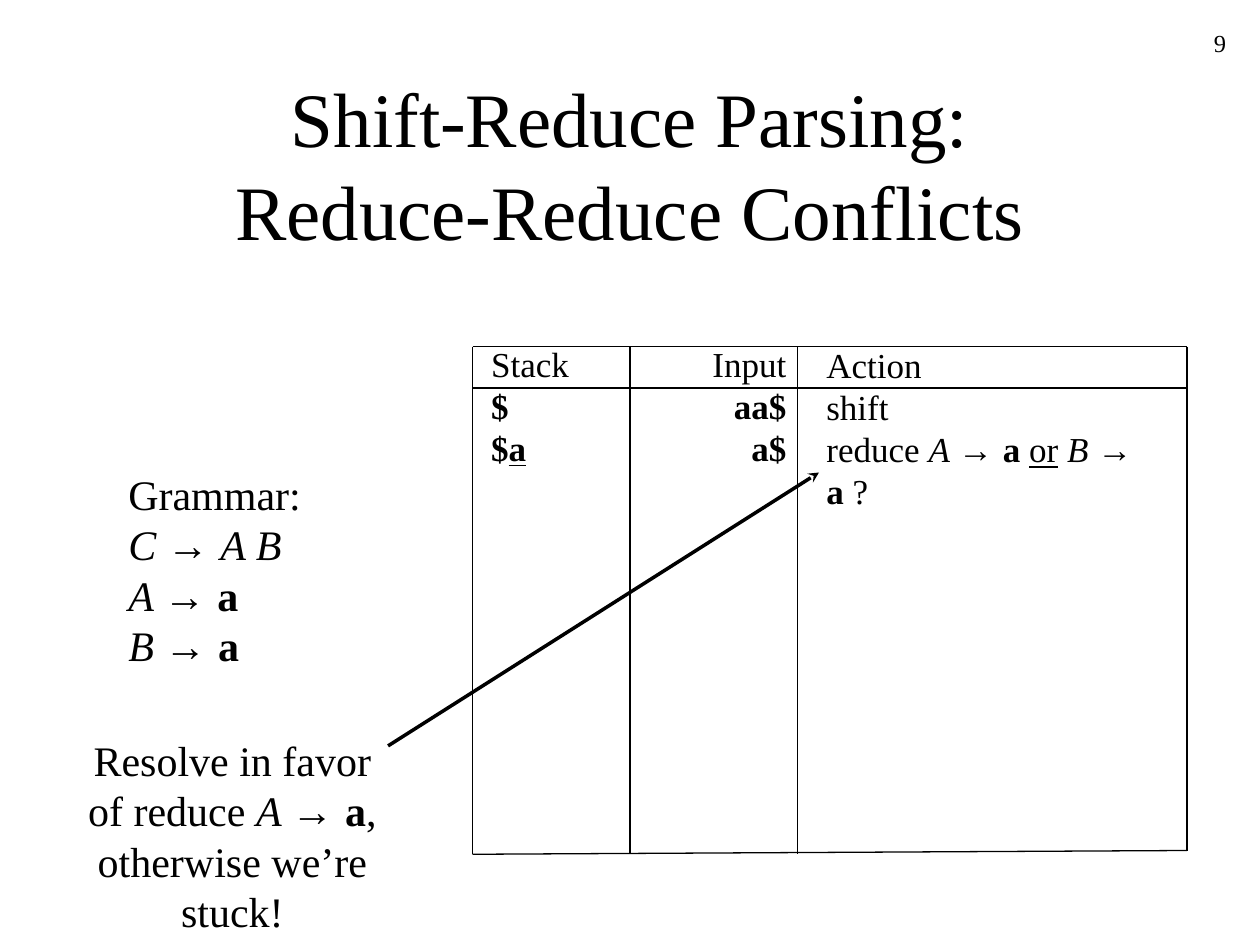
from dataclasses import dataclass

from lxml.etree import SubElement
from pptx import Presentation
from pptx.dml.color import RGBColor
from pptx.enum.shapes import MSO_CONNECTOR
from pptx.enum.text import MSO_ANCHOR, MSO_AUTO_SIZE, PP_ALIGN
from pptx.oxml.ns import qn
from pptx.util import Inches, Pt


@dataclass(frozen=True)
class Theme:
    ink: RGBColor = RGBColor(0, 0, 0)
    font: str = "Times New Roman"
    symbol_font: str = "Arial"
    title: int = 44
    body: int = 24
    table: int = 20
    number: int = 14
    rule: float = 0.75
    arrow: float = 2


THEME = Theme()
ARROW = ("→ ", "symbol")


def style_paragraph(para, size, align):
    para.alignment = align
    para.font.name = THEME.font
    para.font.size = Pt(size)
    para.font.color.rgb = THEME.ink


def add_span(para, text, style=""):
    """Add text in one style; each newline becomes a line break."""
    for index, line in enumerate(text.split("\n")):
        if index:
            para.add_line_break()
        if not line:
            continue
        span = para.add_run()
        span.text = line
        if "bold" in style:
            span.font.bold = True
        if "italic" in style:
            span.font.italic = True
        if "underline" in style:
            span.font.underline = True
        if "symbol" in style:
            span.font.name = THEME.symbol_font


def fill_frame(frame, paragraphs, size, align):
    for index, spans in enumerate(paragraphs):
        para = frame.add_paragraph() if index else frame.paragraphs[0]
        style_paragraph(para, size, align)
        for span in spans:
            add_span(para, *span)


def set_title(page, text):
    title = page.shapes.title
    title.left, title.top = Inches(0.75), Inches(0.67)
    title.width, title.height = Inches(8.5), Inches(1.25)
    frame = title.text_frame
    frame.auto_size = MSO_AUTO_SIZE.NONE
    frame.vertical_anchor = MSO_ANCHOR.MIDDLE
    fill_frame(frame, [[(text,)]], THEME.title, PP_ALIGN.CENTER)


def add_text(page, place, paragraphs, size, align=PP_ALIGN.LEFT, wrap=False):
    box = page.shapes.add_textbox(*map(Inches, place))
    box.text_frame.word_wrap = wrap
    fill_frame(box.text_frame, paragraphs, size, align)


def add_line(page, start, end, width=THEME.rule):
    line = page.shapes.add_connector(
        MSO_CONNECTOR.STRAIGHT, *map(Inches, start + end))
    line.line.color.rgb = THEME.ink
    line.line.width = Pt(width)
    SubElement(line._element.spPr, qn("a:effectLst"))
    return line


def add_arrow(page, start, end):
    arrow = add_line(page, start, end, THEME.arrow)
    SubElement(arrow.line._get_or_add_ln(), qn("a:tailEnd"), type="stealth")


def add_trace_grid(page):
    left, right, top, bottom = 3.75, 9.42, 2.75, 6.78
    right_bottom = 6.75
    for x in (left, 5, 6.33):
        add_line(page, (x, top), (x, bottom))
    add_line(page, (right, top), (right, right_bottom))
    for y in (top, 3.08):
        add_line(page, (left, y), (right, y))
    add_line(page, (left, bottom), (right, right_bottom))


def add_trace_text(page):
    add_text(page, (3.8, 2.67, 0.82, 1.1),
             [[("Stack",)], [("$\n$", "bold"), ("a", "bold underline")]],
             THEME.table)
    add_text(page, (5.55, 2.67, 0.79, 1.1),
             [[("Input",)], [("aa$\na$", "bold")]],
             THEME.table, PP_ALIGN.RIGHT)
    action = [("Action\nshift\nreduce ",), ("A ", "italic"), ARROW,
              ("a ", "bold"), ("or", "underline"), (" ", "bold"),
              ("B ", "italic"), ARROW, ("a ", "bold"), ("?",)]
    add_text(page, (6.46, 2.68, 2.75, 1.43), [action], THEME.table, wrap=True)


def main():
    deck = Presentation()
    deck.slide_width, deck.slide_height = Inches(10), Inches(7.5)
    page = deck.slides.add_slide(deck.slide_layouts[5])

    set_title(page, "Shift-Reduce Parsing:\nReduce-Reduce Conflicts")
    add_trace_text(page)
    add_trace_grid(page)

    grammar = [("Grammar:\n",), ("C ", "italic"), ARROW,
               ("A B\nA ", "italic"), ARROW, ("a\n", "bold"),
               ("B ", "italic"), ARROW, ("a", "bold")]
    add_text(page, (0.92, 3.67, 1.57, 1.7), [grammar], THEME.body)

    advice = [("Resolve in favor\nof reduce ",), ("A ", "italic"), ARROW,
              ("a", "bold"), (",\notherwise we’re stuck!",)]
    add_text(page, (0.23, 5.78, 3.23, 1.3), [advice], THEME.body,
             PP_ALIGN.CENTER)
    add_arrow(page, (3.08, 5.92), (6.5, 3.75))

    add_text(page, (7.75, 0.17, 2.08, 0.5), [[("9",)]], THEME.number,
             PP_ALIGN.RIGHT, wrap=True)
    deck.save("out.pptx")


if __name__ == "__main__":
    main()
